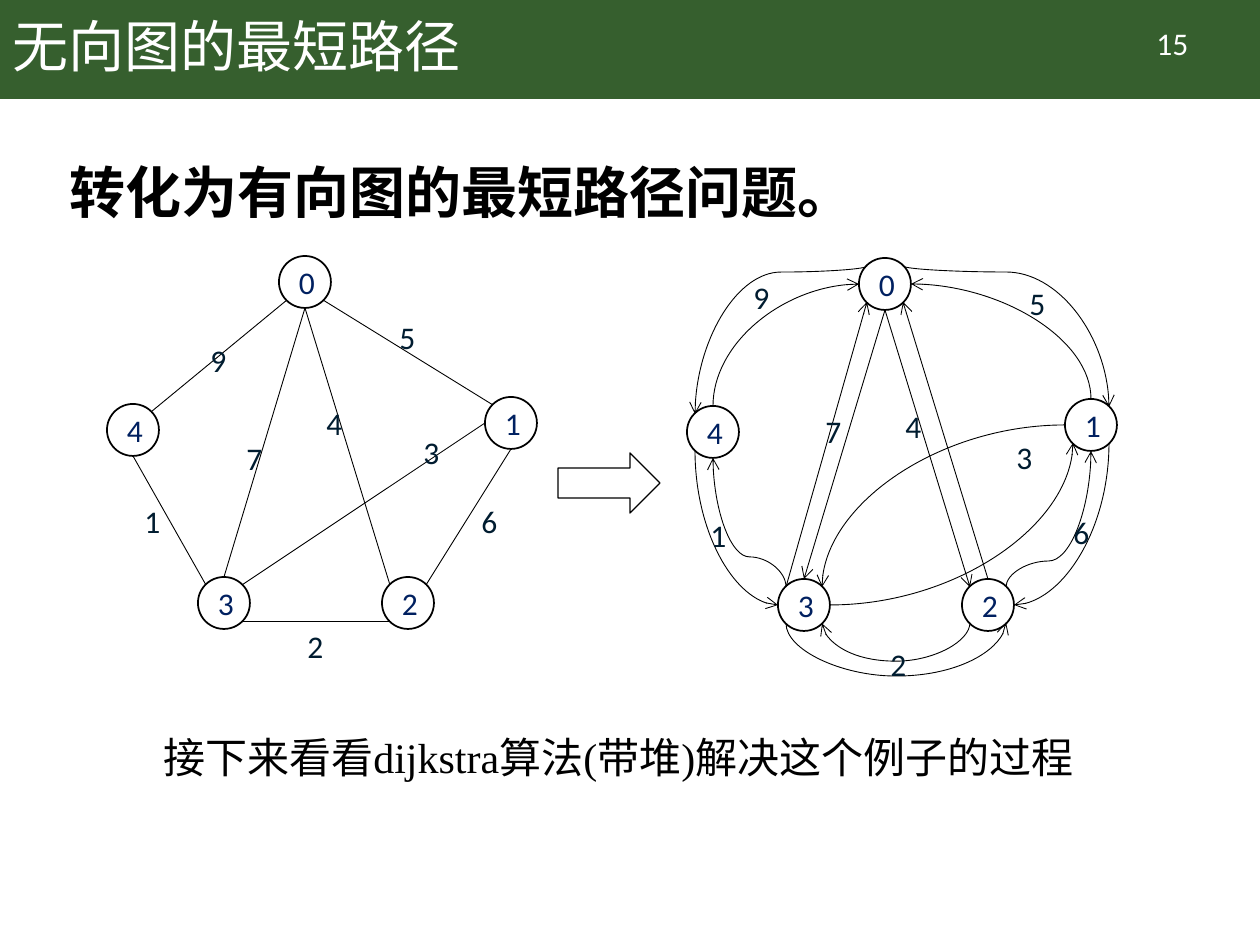
from lxml.etree import SubElement
from pptx import Presentation
from pptx.dml.color import RGBColor
from pptx.enum.shapes import MSO_CONNECTOR as Connector, MSO_SHAPE as Shape
from pptx.enum.text import MSO_ANCHOR as Anchor, PP_ALIGN as Align
from pptx.oxml.ns import qn
from pptx.util import Pt

SCALE = 914400 / 126
RADIUS = 26
DIAGONAL = 18
CJK = "Noto Sans CJK SC"
GREEN, WHITE, BLACK = "365F2E", "FFFFFF", "000000"
NODE_COLOR, LABEL_COLOR = "002060", "001C30"

NODES = {0: (305, 282), 4: (133, 430), 3: (224, 603), 2: (408, 603), 1: (511, 423)}
DIRECTED_SHIFT = (580, 2)
PORTS = {
    "top": (0, -RADIUS), "bottom": (0, RADIUS),
    "left": (-RADIUS, 0), "right": (RADIUS, 0),
    "top left": (-DIAGONAL, -DIAGONAL), "top right": (DIAGONAL, -DIAGONAL),
    "bottom left": (-DIAGONAL, DIAGONAL), "bottom right": (DIAGONAL, DIAGONAL),
}
UNDIRECTED_EDGES = [
    (0, "bottom left", 4, "top right"), (3, "top left", 4, "bottom"),
    (1, "top left", 0, "bottom right"), (2, "bottom left", 3, "bottom right"),
    (1, "bottom", 2, "top right"), (2, "top left", 0, "bottom"),
    (3, "top", 0, "bottom"), (1, "left", 3, "top right"),
]
DIRECTED_EDGES = [
    (2, "top left", 0, "bottom", "headEnd"), (3, "top", 0, "bottom", "headEnd"),
    (3, "top left", 0, "bottom left", "tailEnd"), (2, "top", 0, "bottom right", "tailEnd"),
]
QUARTER_CURVES = [
    (3, "left", 4, "bottom left", "headEnd"), (1, "bottom right", 2, "right", "tailEnd"),
    (1, "left", 3, "top right", "tailEnd"), (1, "bottom left", 3, "right", "headEnd"),
    (0, "left", 4, "top", "headEnd"), (1, "top", 0, "right", "tailEnd"),
]
BENT_CURVES = [
    (0, "top left", 4, "top left", "tailEnd", 272),
    (1, "top right", 0, "top right", "headEnd", 272),
    (2, "bottom right", 3, "bottom left", "headEnd", 677),
    (2, "bottom left", 3, "bottom right", "tailEnd", 662),
    (3, "top left", 4, "bottom", "tailEnd", 557),
    (1, "bottom", 2, "top right", "headEnd", 561),
]
UNDIRECTED_LABELS = {
    9: (198, 335), 5: (387, 312), 4: (314, 398), 7: (234, 433),
    1: (132, 496), 2: (295, 621), 3: (411, 427), 6: (469, 496),
}
DIRECTED_LABELS = {
    9: (741, 272), 5: (1017, 278), 4: (893, 401), 7: (813, 406),
    1: (698, 510), 2: (878, 639), 3: (1004, 432), 6: (1061, 507),
}


def px(*lengths):
    """Turn pixel lengths into EMU."""
    return [round(length * SCALE) for length in lengths]


def rgb(color):
    """Turn a hex string into a colour."""
    return RGBColor.from_string(color)


def write(shape, text, size=18, font="Calibri", color=BLACK, bold=False, align=Align.LEFT,
          anchor=Anchor.TOP, wrap=True, line_spacing=None, space_before=None):
    """Put formatted text into a shape."""
    frame = shape.text_frame
    frame.word_wrap = wrap
    frame.vertical_anchor = anchor
    paragraph = frame.paragraphs[0]
    paragraph.alignment = align
    paragraph.line_spacing = line_spacing
    paragraph.space_before = space_before
    run = paragraph.add_run()
    run.text = text
    run.font.size = Pt(size)
    run.font.name = font
    run.font.bold = bold
    run.font.color.rgb = rgb(color)
    SubElement(run.font._element, qn("a:ea"), typeface=CJK)


def add_text(shapes, box, text, **formats):
    """Add a text box."""
    write(shapes.add_textbox(*px(*box)), text, **formats)


def add_box(shapes, kind, box, fill=None, line=None, width=1):
    """Add a preset shape with optional fill and outline."""
    shape = shapes.add_shape(kind, *px(*box))
    shape.shadow.inherit = False
    if fill:
        shape.fill.solid()
        shape.fill.fore_color.rgb = rgb(fill)
    else:
        shape.fill.background()
    if line:
        shape.line.color.rgb = rgb(line)
        shape.line.width = Pt(width)
    else:
        shape.line.fill.background()
    return shape


def add_node(shapes, center, name):
    """Add a numbered graph node."""
    x, y = center
    node = add_box(shapes, Shape.OVAL, (x - RADIUS, y - RADIUS, 2 * RADIUS, 2 * RADIUS), line=BLACK)
    write(node, str(name), color=NODE_COLOR, align=Align.CENTER, anchor=Anchor.MIDDLE)


def add_edge(shapes, start, end, arrow=None, kind=Connector.STRAIGHT):
    """Add a thin connector with an optional arrowhead."""
    edge = shapes.add_connector(kind, *px(*start, *end))
    edge.line.color.rgb = rgb(BLACK)
    edge.line.width = Pt(0.5)
    if arrow:
        SubElement(edge.line._get_or_add_ln(), qn(f"a:{arrow}"), type="arrow")
    SubElement(edge._element.spPr, qn("a:effectLst"))
    return edge


def add_curve(shapes, start, end, arrow, vertical, via=None):
    """Add a curve that leaves along one axis, bending at height via if given."""
    edge = add_edge(shapes, start, end, arrow, Connector.CURVE)
    (x1, y1), (x2, y2) = start, end
    dx, dy = x2 - x1, y2 - y1
    if vertical:
        turn, width, height = (90 if dy >= 0 else 270), max(abs(dy), 1), abs(dx)
        flip = dx > 0 if turn == 90 else dx < 0
    else:
        turn, width, height = (0 if dx >= 0 else 180), abs(dx), abs(dy)
        flip = dy < 0 if turn == 0 else dy > 0
    edge.left, edge.top, edge.width, edge.height = px(
        (x1 + x2 - width) / 2, (y1 + y2 - height) / 2, width, height)
    properties = edge._element.spPr
    transform = properties.find(qn("a:xfrm"))
    transform.set("rot", str(turn * 60000))
    transform.set("flipH", "0")
    transform.set("flipV", str(int(flip)))
    geometry = properties.find(qn("a:prstGeom"))
    geometry.set("prst", "curvedConnector2" if via is None else "curvedConnector3")
    if via is not None:
        bend = round(100000 * (via - y1) / (dy or 1))
        guides = geometry.find(qn("a:avLst"))
        SubElement(guides, qn("a:gd"), name="adj1", fmla=f"val {bend}")


def add_graph(slide, shift, straight, labels, quarters=(), bends=()):
    """Add one grouped graph of nodes, edges and weights."""
    shapes = slide.shapes.add_group_shape().shapes
    centers = {name: (x + shift[0], y + shift[1]) for name, (x, y) in NODES.items()}

    def port(name, side):
        """Locate a connection point on a node."""
        return tuple(c + offset for c, offset in zip(centers[name], PORTS[side]))

    for name, center in centers.items():
        add_node(shapes, center, name)
    for begin, begin_side, finish, finish_side, *arrow in straight:
        add_edge(shapes, port(begin, begin_side), port(finish, finish_side), *arrow)
    for begin, begin_side, finish, finish_side, arrow, *via in [*quarters, *bends]:
        vertical = begin_side not in ("left", "right")
        add_curve(shapes, port(begin, begin_side), port(finish, finish_side), arrow, vertical, *via)
    for weight, corner in labels.items():
        add_text(shapes, (*corner, 43, 50), str(weight), color=LABEL_COLOR, wrap=False)


def main():
    """Build the slide and save it."""
    presentation = Presentation()
    presentation.slide_width, presentation.slide_height = px(1260, 945)
    slide = presentation.slides.add_slide(presentation.slide_layouts[6])
    shapes = slide.shapes
    add_box(shapes, Shape.RECTANGLE, (0, 0, 1260, 99), fill=GREEN)
    add_text(shapes, (0, 0, 1086, 99), "无向图的最短路径", size=32, font=CJK, color=WHITE,
             anchor=Anchor.MIDDLE, line_spacing=0.9)
    add_text(shapes, (1097, 18, 151, 50), "15", color=WHITE, align=Align.CENTER)
    add_graph(slide, (0, 0), UNDIRECTED_EDGES, UNDIRECTED_LABELS)
    add_box(shapes, Shape.RIGHT_ARROW, (558, 453, 102, 60), fill=WHITE, line=BLACK, width=0.75)
    add_graph(slide, DIRECTED_SHIFT, DIRECTED_EDGES, DIRECTED_LABELS, QUARTER_CURVES, BENT_CURVES)
    add_text(shapes, (151, 725, 945, 63), "接下来看看dijkstra算法(带堆)解决这个例子的过程",
             size=24, font="Times New Roman")
    add_text(shapes, (57, 159, 1172, 89), "转化为有向图的最短路径问题。", size=32, font=CJK,
             bold=True, line_spacing=0.9, space_before=Pt(10))
    presentation.save("out.pptx")


if __name__ == "__main__":
    main()
